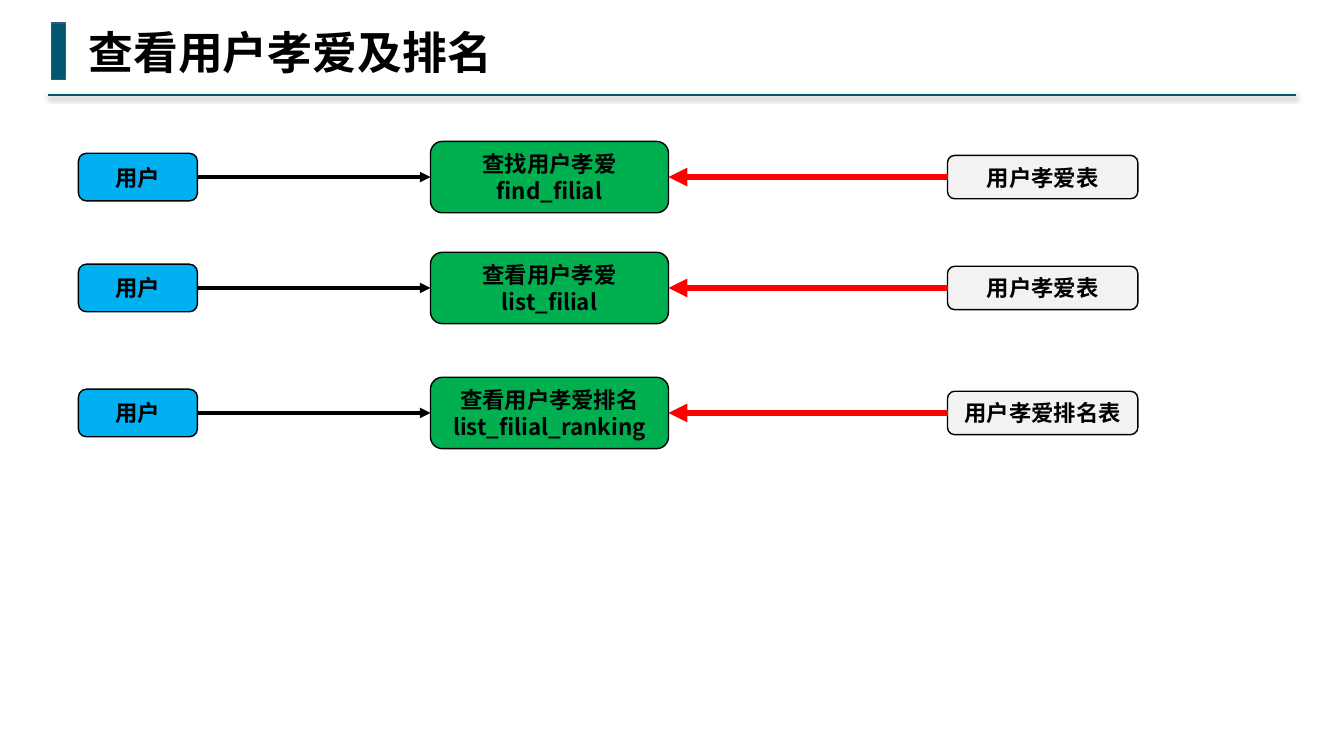
from lxml import etree
from pptx import Presentation
from pptx.dml.color import RGBColor
from pptx.enum.shapes import MSO_CONNECTOR, MSO_SHAPE
from pptx.enum.text import MSO_ANCHOR, MSO_AUTO_SIZE, PP_ALIGN
from pptx.oxml.ns import qn
from pptx.util import Pt

RECT, ROUNDED = MSO_SHAPE.RECTANGLE, MSO_SHAPE.ROUNDED_RECTANGLE
STRAIGHT = MSO_CONNECTOR.STRAIGHT
LEFT, CENTER = PP_ALIGN.LEFT, PP_ALIGN.CENTER
TOP, MIDDLE = MSO_ANCHOR.TOP, MSO_ANCHOR.MIDDLE
LEFT_SITE, RIGHT_SITE = 1, 3


def color(hex_string):
    """Turn a hex string into a colour."""
    return RGBColor.from_string(hex_string)


def write(tf, text, font="Noto Sans CJK SC", size=16, align=CENTER,
          anchor=MIDDLE, inset=(3, 3)):
    """Fill a text frame with bold black text, one paragraph a line."""
    tf.word_wrap = False
    tf.auto_size = MSO_AUTO_SIZE.NONE
    tf.vertical_anchor = anchor
    tf.margin_left = tf.margin_right = Pt(inset[0])
    tf.margin_top = tf.margin_bottom = Pt(inset[1])
    for i, line in enumerate(text.split("\n")):
        p = tf.add_paragraph() if i else tf.paragraphs[0]
        p.alignment = align
        p.line_spacing = 1.0
        p.space_before = Pt(0)
        r = p.add_run()
        r.text = line
        r.font.name, r.font.size, r.font.bold = font, Pt(size), True
        r.font.color.rgb = color("000000")
        ea = etree.SubElement(r.font._element, qn("a:ea"))
        ea.set("typeface", "Noto Sans CJK SC")


class Board:
    """Holds the style and the current slide."""

    teal, black, red = "00576E", "000000", "FF0000"
    user, function, table = "00B0F0", "00B050", "F2F2F2"

    def __init__(self, s):
        """Keep the slide to draw on."""
        self.s = s

    def title(self, text, x, y, w, h):
        """Place and fill the title placeholder."""
        sp = self.s.shapes.title
        sp.left, sp.top, sp.width, sp.height = Pt(x), Pt(y), Pt(w), Pt(h)
        write(sp.text_frame, text, font="DejaVu Sans Mono", size=32,
              align=LEFT, anchor=TOP, inset=(7.2, 3.6))

    def box(self, x, y, w, h, fill, line="000000", kind=ROUNDED, text=""):
        """Draw a filled shape with an outline and optional text."""
        sp = self.s.shapes.add_shape(kind, Pt(x), Pt(y), Pt(w), Pt(h))
        sp.shadow.inherit = False
        sp.fill.solid()
        sp.fill.fore_color.rgb = color(fill)
        sp.line.color.rgb = color(line)
        sp.line.width = Pt(1)
        if text:
            write(sp.text_frame, text)
        return sp

    def line(self, x1, y1, x2, y2, hex_string, width):
        """Draw a straight line; return it with its empty effect list."""
        c = self.s.shapes.add_connector(STRAIGHT, Pt(x1), Pt(y1), Pt(x2), Pt(y2))
        c.line.color.rgb = color(hex_string)
        c.line.width = Pt(width)
        return c, etree.SubElement(c._element.spPr, qn("a:effectLst"))

    def rule(self, x1, x2, y):
        """Draw the header rule with its soft shadow."""
        _, effects = self.line(x1, y, x2, y, self.teal, 1.5)
        shadow = etree.SubElement(effects, qn("a:outerShdw"), blurRad=str(Pt(4)),
                                  dist=str(Pt(1)), dir="5400000",
                                  algn="t", rotWithShape="0")
        black = etree.SubElement(shadow, qn("a:srgbClr"), val=self.black)
        etree.SubElement(black, qn("a:alpha"), val="40000")

    def arrow(self, start, start_site, end, end_site, hex_string, width):
        """Connect two boxes with an arrow that points at the second."""
        c, _ = self.line(0, 0, 0, 0, hex_string, width)
        c.begin_connect(start, start_site)
        c.end_connect(end, end_site)
        etree.SubElement(c.line._get_or_add_ln(), qn("a:tailEnd"), type="triangle")

    def flow(self, y, function, table):
        """Draw one row, centred on y: user, function and data table."""
        columns = ((56, 85, 34, self.user, "用户"),
                   (307.5, 170, 51, self.function, function),
                   (676.8, 136, 31, self.table, table))
        user, func, data = [self.box(x, y - h / 2, w, h, fill, text=text)
                            for x, w, h, fill, text in columns]
        self.arrow(data, LEFT_SITE, func, RIGHT_SITE, self.red, 4.5)
        self.arrow(user, RIGHT_SITE, func, LEFT_SITE, self.black, 2.5)


def main():
    """Build the slide and save it."""
    prs = Presentation()
    prs.slide_width, prs.slide_height = Pt(960), Pt(540)
    board = Board(prs.slides.add_slide(prs.slide_layouts[5]))
    board.rule(926, 34, 68.2)
    board.box(37, 16.4, 9.6, 40.3, board.teal, line="325491", kind=RECT)
    board.title("查看用户孝爱及排名", 56, 13.7, 305, 46)
    rows = ((126.5, "查找用户孝爱\nfind_filial", "用户孝爱表"),
            (205.7, "查看用户孝爱\nlist_filial", "用户孝爱表"),
            (295, "查看用户孝爱排名\nlist_filial_ranking", "用户孝爱排名表"))
    for row in rows:
        board.flow(*row)
    prs.save("out.pptx")


main()
